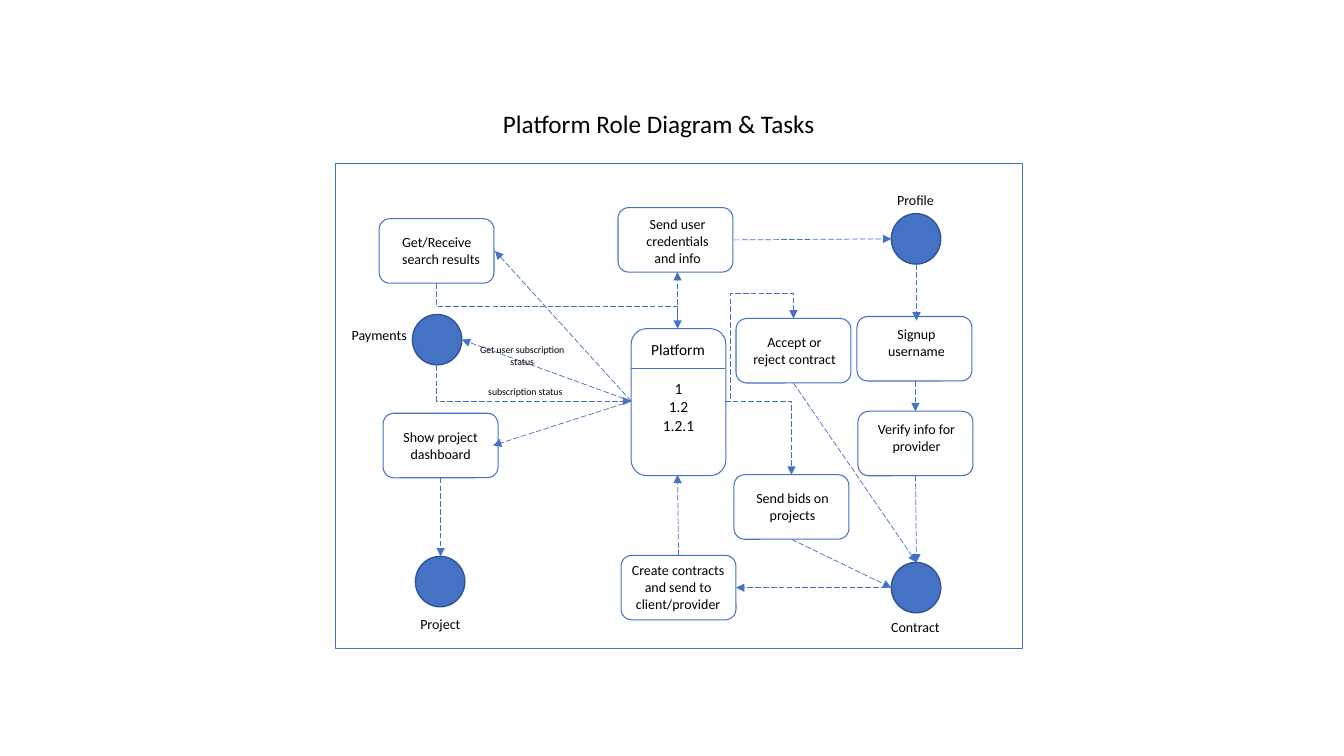
from lxml import etree
from pptx import Presentation
from pptx.dml.color import RGBColor
from pptx.enum.dml import MSO_LINE
from pptx.enum.shapes import MSO_CONNECTOR, MSO_SHAPE
from pptx.enum.text import MSO_AUTO_SIZE, PP_ALIGN
from pptx.oxml.ns import qn
from pptx.util import Inches, Pt

BLUE = RGBColor(0x44, 0x72, 0xC4)
DARK_BLUE = RGBColor(0x32, 0x54, 0x91)
BLACK = RGBColor(0x00, 0x00, 0x00)
LEFT, CENTER = PP_ALIGN.LEFT, PP_ALIGN.CENTER
RECTANGLE, ROUNDED = MSO_SHAPE.RECTANGLE, MSO_SHAPE.ROUNDED_RECTANGLE
CIRCLE = MSO_SHAPE.FLOWCHART_CONNECTOR
STRAIGHT, ELBOW = MSO_CONNECTOR.STRAIGHT, MSO_CONNECTOR.ELBOW
LONG_DASH = MSO_LINE.LONG_DASH
FIT_SHAPE = MSO_AUTO_SIZE.SHAPE_TO_FIT_TEXT


class Diagram:
    """Draws the elements of a role diagram on one page."""

    font = "Calibri"
    card_size = (1.14, 0.64)
    node_size = (0.49, 0.5)

    def __init__(self, page):
        self.shapes = page.shapes

    def text(self, left, top, width, height, words, size=10, align=CENTER, wrap=True):
        box = self.shapes.add_textbox(*map(Inches, (left, top, width, height)))
        frame = box.text_frame
        frame.word_wrap = wrap
        frame.auto_size = FIT_SHAPE
        frame.text = words
        for para in frame.paragraphs:
            para.alignment = align
            para.font.name = self.font
            para.font.size = Pt(size)
            para.font.color.rgb = BLACK

    def outline(self, kind, left, top, width, height):
        shape = self.shapes.add_shape(kind, *map(Inches, (left, top, width, height)))
        shape.shadow.inherit = False
        shape.fill.background()
        shape.line.color.rgb = BLUE
        shape.line.width = Pt(0.75)
        return shape

    def card(self, left, top, words, text_left, text_top, text_width, text_height, align=CENTER):
        self.outline(ROUNDED, left, top, *self.card_size)
        self.text(text_left, text_top, text_width, text_height, words, align=align)

    def node(self, left, top, name, name_left, name_top, name_width):
        shape = self.outline(CIRCLE, left, top, *self.node_size)
        shape.fill.solid()
        shape.fill.fore_color.rgb = BLUE
        shape.line.color.rgb = DARK_BLUE
        shape.line.width = Pt(1)
        self.text(name_left, name_top, name_width, 0.27, name, align=LEFT, wrap=False)

    def line(self, start, end, kind=STRAIGHT):
        link = self.shapes.add_connector(kind, *map(Inches, (*start, *end)))
        link.line.color.rgb = BLUE
        link.line.width = Pt(0.5)
        etree.SubElement(link._element.spPr, qn("a:effectLst"))
        return link

    def arrow(self, start, end, kind=STRAIGHT):
        link = self.line(start, end, kind)
        link.line.dash_style = LONG_DASH
        stroke = link._element.spPr.find(qn("a:ln"))
        etree.SubElement(stroke, qn("a:tailEnd"), type="triangle")
        return link

    def elbow(self, start, end, preset, turned=False, adjusts=()):
        if turned:
            middle_x, middle_y = (start[0] + end[0]) / 2, (start[1] + end[1]) / 2
            half_x, half_y = (end[1] - start[1]) / 2, (end[0] - start[0]) / 2
            start = (middle_x + half_x, middle_y - half_y)
            end = (middle_x - half_x, middle_y + half_y)
        link = self.arrow(start, end, ELBOW)
        if turned:
            link._element.spPr.find(qn("a:xfrm")).set("rot", str(270 * 60000))
        geometry = link._element.spPr.find(qn("a:prstGeom"))
        geometry.set("prst", preset)
        guides = geometry.find(qn("a:avLst"))
        for number, value in enumerate(adjusts, 1):
            etree.SubElement(guides, qn("a:gd"), name=f"adj{number}", fmla=f"val {value}")


NODES = [
    (8.84, 2.12, "Profile", 8.8, 1.85, 0.57),
    (8.84, 5.58, "Contract", 8.74, 6.09, 0.69),
    (4.12, 5.52, "Project", 4.07, 6.06, 0.61),
    (4.09, 3.12, "Payments", 3.39, 3.19, 0.76),
]
CARDS = [
    (6.13, 2.06, "Send user credentials and info", 6.2, 2.09, 1.04, 0.61),
    (8.5, 3.14, "Signup username", 8.57, 3.18, 1.04, 0.44),
    (8.51, 4.08, "Verify info for provider", 8.57, 4.12, 1.04, 0.44),
    (6.16, 5.51, "Create contracts and send to client/provider", 6.12, 5.52, 1.21, 0.61),
    (3.76, 2.17, "Get/Receive search results", 3.89, 2.27, 1.04, 0.44, LEFT),
    (7.3, 3.16, "Accept or reject contract", 7.36, 3.26, 1.04, 0.44),
    (3.8, 4.1, "Show project dashboard", 3.85, 4.2, 1.04, 0.44),
    (7.28, 4.71, "Send bids on projects", 7.34, 4.81, 1.04, 0.44),
]
PLATFORM_LEFT = (6.26, 3.98)
PLATFORM_RIGHT = (7.19, 3.98)
PLATFORM_TOP = (6.72, 3.26)
CONTRACT_TOP = (9.09, 5.58)
ARROWS = [
    ((9.09, 2.62), (9.09, 3.18)),
    ((9.08, 3.78), (9.08, 4.08)),
    ((9.08, 4.72), CONTRACT_TOP),
    ((9.34, 5.83), (7.3, 5.83)),
    ((6.73, 5.51), (6.72, 4.71)),
    (PLATFORM_LEFT, (4.91, 2.49)),
    ((7.87, 3.8), CONTRACT_TOP),
    (PLATFORM_TOP, (6.72, 2.7)),
    ((7.28, 2.38), (8.84, 2.37)),
    (PLATFORM_LEFT, (4.89, 4.42)),
    ((4.37, 4.74), (4.37, 5.52)),
    ((7.85, 5.35), (8.84, 5.83)),
    (PLATFORM_LEFT, (4.58, 3.37)),
]
ELBOWS = [
    ((4.33, 3.62), PLATFORM_LEFT, "bentConnector2", True),
    (PLATFORM_RIGHT, (7.87, 3.16), "bentConnector4", False, (7800, 130500)),
    (PLATFORM_RIGHT, (7.85, 4.71), "bentConnector2"),
    ((4.33, 2.81), PLATFORM_TOP, "bentConnector3", True, (50000,)),
]


def main():
    deck = Presentation()
    deck.slide_width, deck.slide_height = Inches(13.33), Inches(7.5)
    diagram = Diagram(deck.slides.add_slide(deck.slide_layouts[6]))

    diagram.text(4.89, 1.03, 3.33, 0.4, "Platform Role Diagram & Tasks", 18, LEFT, False)
    diagram.outline(RECTANGLE, 3.33, 1.62, 6.81, 4.81)
    diagram.outline(ROUNDED, 6.26, 3.26, 0.94, 1.46)
    diagram.line((6.26, 3.65), (7.19, 3.65))
    diagram.text(6.35, 3.32, 0.75, 0.29, "Platform", 11, wrap=False)
    diagram.text(6.47, 3.71, 0.52, 0.66, "1\v1.2\n1.2.1", 11, wrap=False)

    for node in NODES:
        diagram.node(*node)
    for card in CARDS:
        diagram.card(*card)
    for arrow in ARROWS:
        diagram.arrow(*arrow)
    for elbow in ELBOWS:
        diagram.elbow(*elbow)
    diagram.text(4.66, 3.36, 1.04, 0.34, "Get user subscription status", 7)
    diagram.text(4.69, 3.78, 1.04, 0.22, "subscription status", 7)

    deck.save("out.pptx")


if __name__ == "__main__":
    main()
